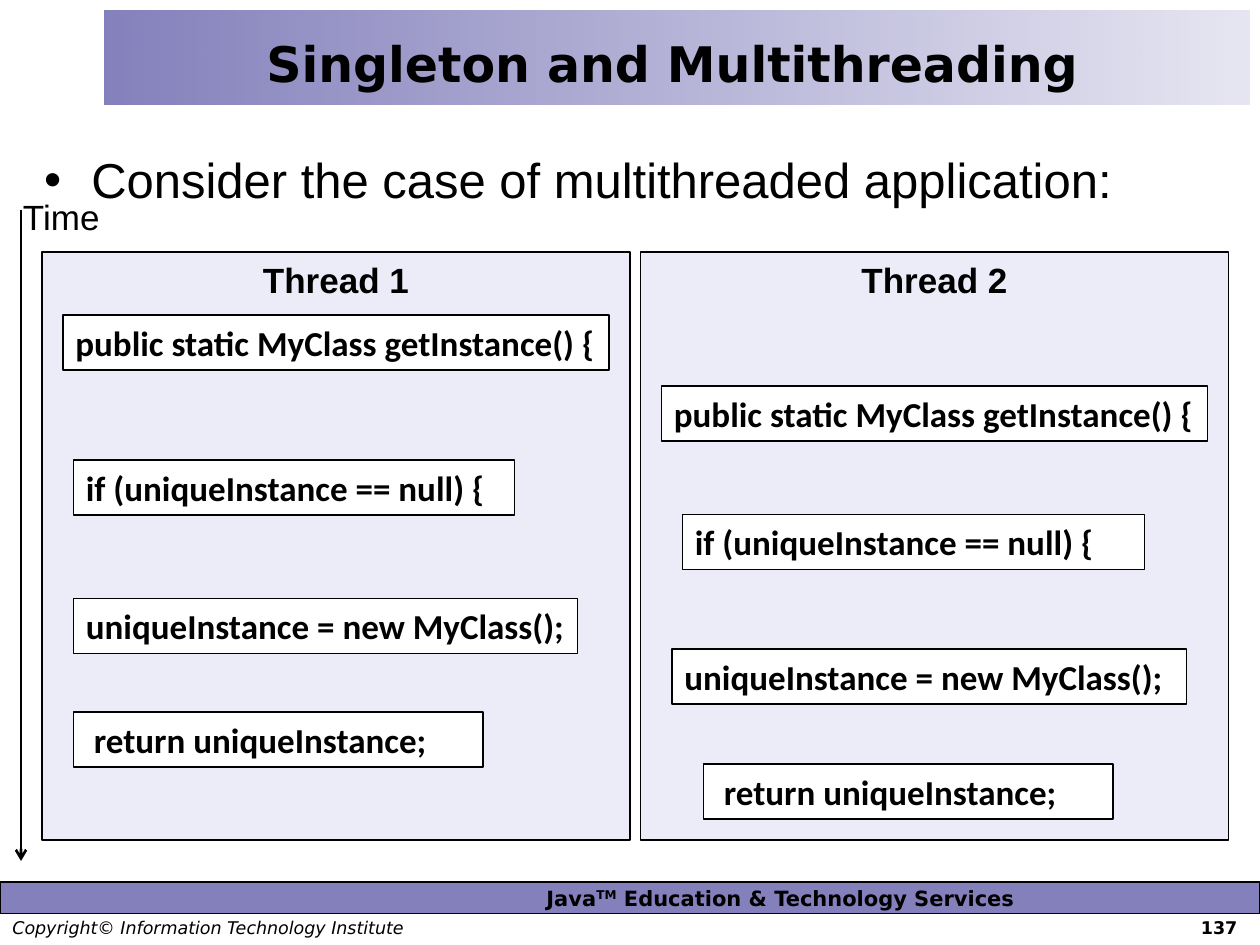
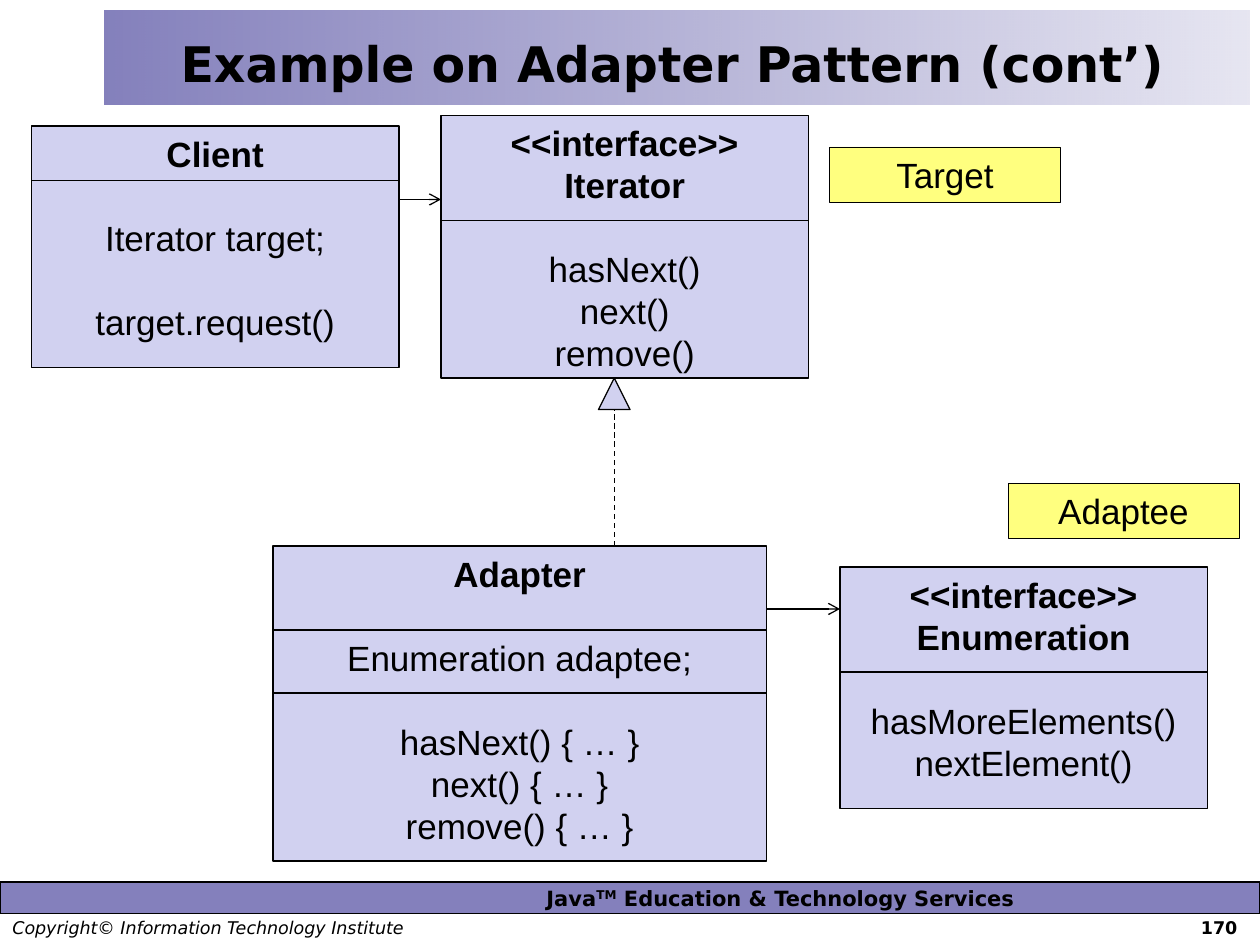
import pptx
import pptx.util
import pptx.dml.color
import pptx.enum.dml
import pptx.enum.shapes
import pptx.enum.text
import pptx.oxml
import pptx.oxml.ns

Pt = pptx.util.Pt
qn = pptx.oxml.ns.qn
Shape = pptx.enum.shapes.MSO_SHAPE
Align = pptx.enum.text.PP_ALIGN
Anchor = pptx.enum.text.MSO_ANCHOR

# Shared look
INK, WHITE, BAND, LILAC, YELLOW = "000000", "FFFFFF", "5B56A6", "D1D1F0", "FFFF00"
SANS, MONO, BRAND = "Arial", "Calibri", "DejaVu Sans"
WIDE, HIGH = 720, 540
ROW = 24      # height of one text line
BOX = 31.5    # height of a box with one line

# Content: threads
CODE = [
    "public static MyClass getInstance() {",
    "if (uniqueInstance == null) {",
    "uniqueInstance = new MyClass();",
    " return uniqueInstance;",
]
THREADS = [  # name, then (indent, top, width) for each line of code
    ("Thread 1", [(12, 180, 312), (18, 262.8, 252), (18, 342, 288), (18, 406.8, 234)]),
    ("Thread 2", [(12, 220.5, 312), (24, 294, 264), (18, 370.8, 294), (36, 436.5, 234)]),
]

# Content: class diagram
CLASSES = [  # place, heading, sections, depths of the rules
    ((480, 324, 210, 138), ["<<interface>>", "Enumeration"],
     [["hasMoreElements()", "nextElement()"]], [60]),
    ((252, 66, 210, 150), ["<<interface>>", "Iterator"],
     [["hasNext()", "next()", "remove()"]], [60]),
    ((18, 72, 210, 138), ["Client"],
     [["Iterator target;"], ["target.request()"]], [31]),
    ((156, 312, 282, 180), ["Adapter"],
     [["Enumeration adaptee;"],
      ["hasNext() { … }", "next() { … }", "remove() { … }"]], [48, 84]),
]
ROLES = [("Adaptee", 576, 276), ("Target", 474, 84)]
LINKS = [(228, 114, 252, 114), (438, 348, 480, 348)]


def tint(code):
    return pptx.dml.color.RGBColor.from_string(code)


def write(frame, text, size=20, font=SANS, bold=False, italic=False,
          align=Align.LEFT, gap=0, join=False, lift=0):
    """Add text as a new paragraph, or as a run of the last one."""
    para = frame.paragraphs[-1]
    if para.runs and not join:
        para = frame.add_paragraph()
    if not join:
        para.alignment = align
        para.space_before = Pt(gap)
    run = para.add_run()
    run.text = text
    run.font.size, run.font.name = Pt(size), font
    run.font.bold, run.font.italic = bold, italic
    run.font.color.rgb = tint(INK)
    if lift:
        run._r.get_or_add_rPr().set("baseline", str(lift * 1000))
    return para


def place(part, left, top, width, height):
    part.left, part.top = Pt(left), Pt(top)
    part.width, part.height = Pt(width), Pt(height)


def fade(part, *shares):
    """Set the opacity, in percent, of the fill colours in turn."""
    for color, share in zip(part.element.spPr.iter(qn("a:srgbClr")), shares):
        color.append(pptx.oxml.parse_xml(
            f'<a:alpha {pptx.oxml.ns.nsdecls("a")} val="{share * 1000}"/>'))


def draw(home, left, top, width, height, fill=WHITE, alpha=100,
         line=0.75, kind=Shape.RECTANGLE):
    part = home.add_shape(kind, Pt(left), Pt(top), Pt(width), Pt(height))
    part.shadow.inherit = False
    part.fill.solid()
    part.fill.fore_color.rgb = tint(fill)
    if alpha < 100:
        fade(part, alpha)
    part.line.color.rgb = tint(INK)
    part.line.width = Pt(line)
    part.text_frame.word_wrap = True
    part.text_frame.vertical_anchor = Anchor.TOP
    return part


def rule(home, x1, y1, x2, y2, width=0.75, arrow=False, dash=False):
    part = home.add_connector(pptx.enum.shapes.MSO_CONNECTOR.STRAIGHT,
                              Pt(x1), Pt(y1), Pt(x2), Pt(y2))
    part.line.color.rgb = tint(INK)
    part.line.width = Pt(width)
    if dash:
        part.line.dash_style = pptx.enum.dml.MSO_LINE.DASH
    space = pptx.oxml.ns.nsdecls("a")
    if arrow:
        part.line._get_or_add_ln().append(
            pptx.oxml.parse_xml(f'<a:tailEnd {space} type="arrow"/>'))
    part.element.spPr.append(pptx.oxml.parse_xml(f"<a:effectLst {space}/>"))


def start(deck, layout, title, page):
    """Add a slide with the shared bands, footer and title."""
    slide = deck.slides.add_slide(deck.slide_layouts[layout])
    home = slide.shapes

    # Footer band, its text centred right of the middle
    band = draw(home, 0, 504, WIDE, 18, BAND, 75)
    frame = band.text_frame
    frame.vertical_anchor = Anchor.MIDDLE
    frame.margin_left, frame.margin_right = Pt(172), 0
    frame.margin_top = frame.margin_bottom = 0
    look = dict(size=12, font=BRAND, bold=True)
    write(frame, "Java", align=Align.CENTER, **look)
    write(frame, "TM", join=True, lift=30, **look)
    write(frame, " Education & Technology Services", join=True, **look)

    # Copyright line, with the page at a right tab
    frame = home.add_textbox(0, Pt(520.5), Pt(WIDE), Pt(19.5)).text_frame
    frame.word_wrap = True
    frame.paragraphs[0]._p.get_or_add_pPr().append(pptx.oxml.parse_xml(
        f'<a:tabLst {pptx.oxml.ns.nsdecls("a")}>'
        f'<a:tab pos="{Pt(700)}" algn="r"/></a:tabLst>'))
    write(frame, "Copyright© Information Technology Institute\t",
          size=10, font=BRAND, italic=True)
    write(frame, str(page), size=10, font=BRAND, bold=True, join=True)

    # Title on its fading band
    band = draw(home, 60, 6, 654, 54)
    band.line.fill.background()
    band.fill.gradient()
    band.fill.gradient_angle = 0
    for stop in band.fill.gradient_stops:
        stop.color.rgb = tint(BAND)
    fade(band, 75, 15)
    head = home.title
    place(head, 60, 12, 648, 48)
    head.text_frame.vertical_anchor = Anchor.MIDDLE
    write(head.text_frame, title, size=28, font=BRAND, bold=True,
          align=Align.CENTER)
    home.element.append(head.element)
    return slide


def show_threads(deck):
    slide = start(deck, 1, "Singleton and Multithreading", 137)
    home = slide.shapes
    body = slide.placeholders[1]
    place(body, 18, 82, 684, 400)
    write(body.text_frame, "Consider the case of multithreaded application:",
          size=28)
    home.element.append(body.element)

    # One panel per thread
    for index, (name, spots) in enumerate(THREADS):
        left = 24 + 342 * index
        panel = draw(home, left, 144, 336, 336, LILAC, 40)
        write(panel.text_frame, name, bold=True, align=Align.CENTER)
        for text, (dent, top, width) in zip(CODE, spots):
            step = draw(home, left + dent, top, width, BOX)
            write(step.text_frame, text, font=MONO, bold=True)

    # Time axis
    rule(home, 12, 120, 12, 492, width=1.5, arrow=True)
    label = home.add_textbox(Pt(6), Pt(108), Pt(60), Pt(BOX))
    label.text_frame.word_wrap = True
    write(label.text_frame, "Time")


def show_classes(deck):
    home = start(deck, 5, "Example on Adapter Pattern (cont’)", 170).shapes

    # Class boxes with their rules
    for (left, top, width, height), heads, parts, depths in CLASSES:
        group = home.add_group_shape().shapes
        frame = draw(group, left, top, width, height, LILAC).text_frame
        for text in heads:
            write(frame, text, bold=True, align=Align.CENTER)
        for part in parts:
            for index, text in enumerate(part):
                write(frame, text, align=Align.CENTER, gap=0 if index else ROW)
        for depth in depths:
            rule(group, left, top + depth, left + width, top + depth)

    # Role tags
    for name, left, top in ROLES:
        tag = draw(home, left, top, 132, BOX, YELLOW, 50, line=0.25)
        write(tag.text_frame, name, align=Align.CENTER)

    # Links between the classes
    rule(home, 351, 312, 351, 234, dash=True)
    draw(home, 342, 216, 18, 18, LILAC, kind=Shape.ISOSCELES_TRIANGLE)
    for link in LINKS:
        rule(home, *link, arrow=True)


def main():
    deck = pptx.Presentation()
    deck.slide_width, deck.slide_height = Pt(WIDE), Pt(HIGH)
    show_threads(deck)
    show_classes(deck)
    deck.save("out.pptx")


if __name__ == "__main__":
    main()
